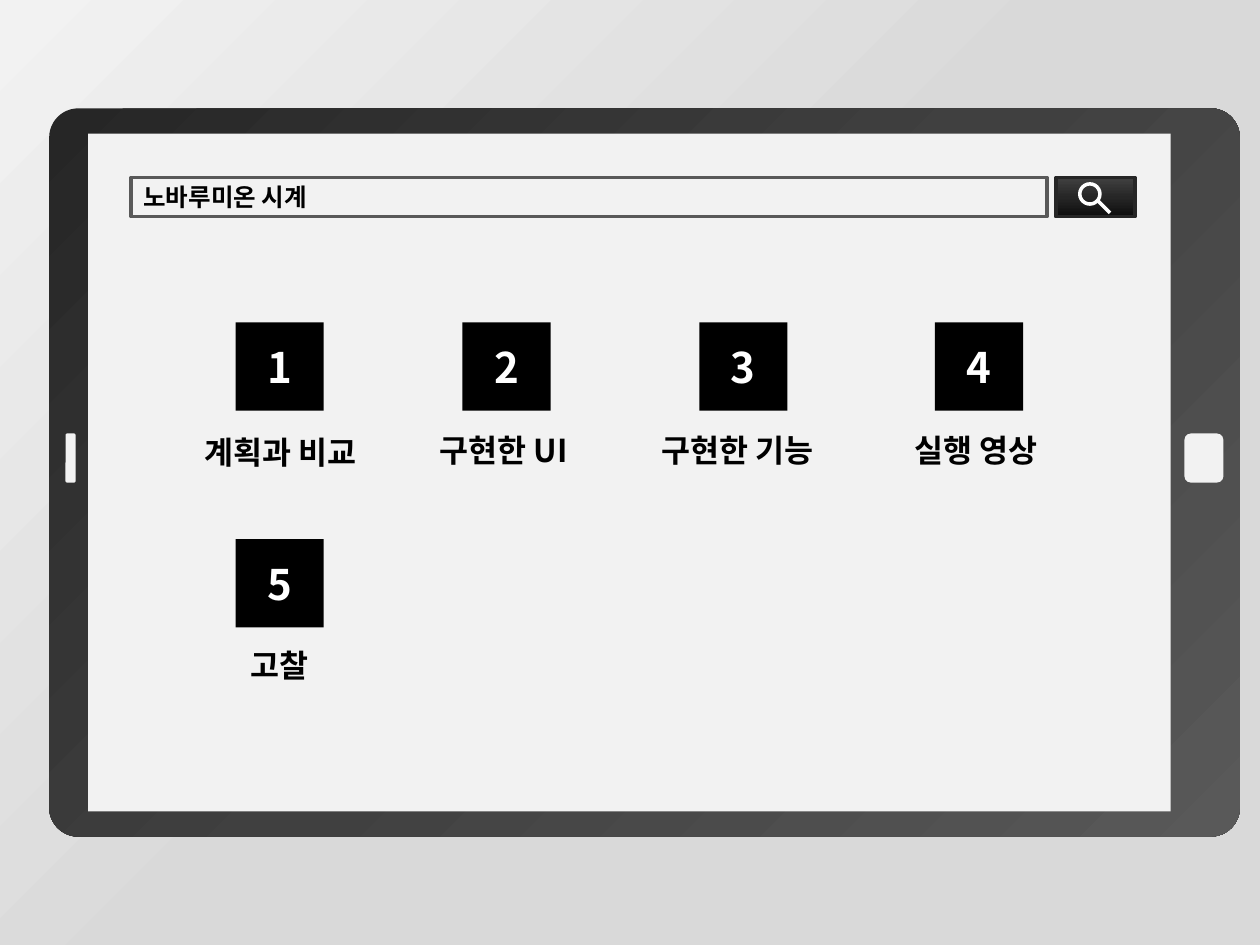
from dataclasses import dataclass

from lxml import etree
from pptx import Presentation
from pptx.dml.color import RGBColor
from pptx.enum.shapes import MSO_CONNECTOR, MSO_SHAPE
from pptx.enum.text import MSO_ANCHOR, MSO_AUTO_SIZE, PP_ALIGN
from pptx.oxml import parse_xml
from pptx.oxml.ns import nsdecls, qn
from pptx.util import Inches, Pt

RECT, ROUND, OVAL = MSO_SHAPE.RECTANGLE, MSO_SHAPE.ROUNDED_RECTANGLE, MSO_SHAPE.OVAL
STRAIGHT, MIDDLE = MSO_CONNECTOR.STRAIGHT, MSO_ANCHOR.MIDDLE
LEFT, CENTER = PP_ALIGN.LEFT, PP_ALIGN.CENTER
GROW = MSO_AUTO_SIZE.SHAPE_TO_FIT_TEXT
FONT = "Noto Sans CJK KR"
COLORS = {
    "black": "000000", "coal": "0D0D0D", "dark": "262626", "slate": "404040",
    "gray": "595959", "silver": "D9D9D9", "pale": "F2F2F2", "white": "FFFFFF",
}
CORNER = ('<a:path path="circle"><a:fillToRect l="100000" t="100000"/></a:path>'
          '<a:tileRect r="-100000" b="-100000"/>')
DOWN = '<a:lin ang="5400000" scaled="0"/>'
TILE = 0.7


@dataclass
class Box:
    left: float
    top: float
    width: float
    height: float

    def lengths(self) -> list:
        return [Inches(n) for n in (self.left, self.top, self.width, self.height)]


@dataclass
class Topic:
    left: float
    top: float
    text: str
    label: Box
    align: PP_ALIGN = LEFT


TOPICS = [
    Topic(1.87, 2.56, "계획과 비교", Box(1.45, 3.39, 1.55, 0.4), CENTER),
    Topic(3.67, 2.56, "구현한 UI", Box(3.39, 3.37, 1.31, 0.4)),
    Topic(5.55, 2.56, "구현한 기능", Box(5.15, 3.37, 1.55, 0.4)),
    Topic(7.42, 2.56, "실행 영상", Box(7.16, 3.37, 1.3, 0.4)),
    Topic(1.87, 4.28, "고찰", Box(1.86, 5.08, 0.71, 0.4), CENTER),
]


def color(name: str) -> RGBColor:
    return RGBColor.from_string(COLORS[name])


def shade(fill, root, stops: dict, course: str) -> None:
    """Give the fill found under root a gradient along the given course."""
    fill.gradient()
    old = next(root.iter(qn("a:gradFill")))
    marks = "".join(f'<a:gs pos="{pos * 1000}"><a:srgbClr val="{COLORS[name]}"/></a:gs>'
                    for pos, name in stops.items())
    new = parse_xml(f'<a:gradFill {nsdecls("a")} rotWithShape="1">'
                    f'<a:gsLst>{marks}</a:gsLst>{course}</a:gradFill>')
    old.getparent().replace(old, new)


def stroke(line, name: str) -> None:
    line.color.rgb = color(name)
    line.width = Pt(2)


def draw(shapes, kind, box: Box, fill: str = "", line: str = ""):
    shape = shapes.add_shape(kind, *box.lengths())
    shape.shadow.inherit = False
    if fill:
        shape.fill.solid()
        shape.fill.fore_color.rgb = color(fill)
    else:
        shape.fill.background()
    if line:
        stroke(shape.line, line)
    else:
        shape.line.fill.background()
    return shape


def write(shape, text: str, size: int, name: str, align: PP_ALIGN) -> None:
    frame = shape.text_frame
    frame.text = text
    para = frame.paragraphs[0]
    para.alignment = align
    font = para.runs[0].font
    font.size, font.bold, font.name = Pt(size), True, FONT
    font.color.rgb = color(name)
    etree.SubElement(font._element, qn("a:ea")).set("typeface", FONT)


def draw_tablet(shapes) -> None:
    body = draw(shapes, ROUND, Box(0.39, 0.86, 9.45, 5.78))
    body.adjustments[0] = 0.04
    shade(body.fill, body.element, {0: "gray", 50: "slate", 100: "dark"}, CORNER)
    draw(shapes, RECT, Box(0.7, 1.06, 8.59, 5.38), "pale")
    for left, width in ((9.4, 0.31), (0.52, 0.08)):
        draw(shapes, ROUND, Box(left, 3.44, width, 0.39), "pale")


def draw_search(shapes) -> None:
    field = draw(shapes, RECT, Box(1.04, 1.41, 7.27, 0.31), "pale", "gray")
    field.text_frame.vertical_anchor = MIDDLE
    write(field, "노바루미온 시계", 14, "black", LEFT)
    parts = shapes.add_group_shape().shapes
    button = draw(parts, RECT, Box(8.38, 1.41, 0.63, 0.31), line="dark")
    shade(button.fill, button.element, {0: "slate", 50: "dark", 100: "coal"}, DOWN)
    draw(parts, OVAL, Box(8.57, 1.46, 0.16, 0.16), line="white")
    grip = parts.add_connector(STRAIGHT, Inches(8.71), Inches(1.59),
                               Inches(8.81), Inches(1.69))
    stroke(grip.line, "white")
    etree.SubElement(grip.element.spPr, qn("a:effectLst"))


def draw_topic(shapes, number: int, topic: Topic) -> None:
    tile = draw(shapes, RECT, Box(topic.left, topic.top, TILE, TILE), "black")
    tile.text_frame.vertical_anchor = MIDDLE
    write(tile, str(number), 24, "white", CENTER)
    label = shapes.add_textbox(*topic.label.lengths())
    label.text_frame.word_wrap = False
    label.text_frame.auto_size = GROW
    write(label, topic.text, 18, "black", topic.align)


def main() -> None:
    deck = Presentation()
    deck.slide_width, deck.slide_height = Inches(10), Inches(7.5)
    slide = deck.slides.add_slide(deck.slide_layouts[6])
    shade(slide.background.fill, slide.element, {50: "silver", 100: "pale"}, CORNER)
    draw_tablet(slide.shapes.add_group_shape().shapes)
    draw_search(slide.shapes)
    menu = slide.shapes.add_group_shape().shapes
    for number, topic in enumerate(TOPICS, 1):
        draw_topic(menu, number, topic)
    deck.save("out.pptx")


if __name__ == "__main__":
    main()
